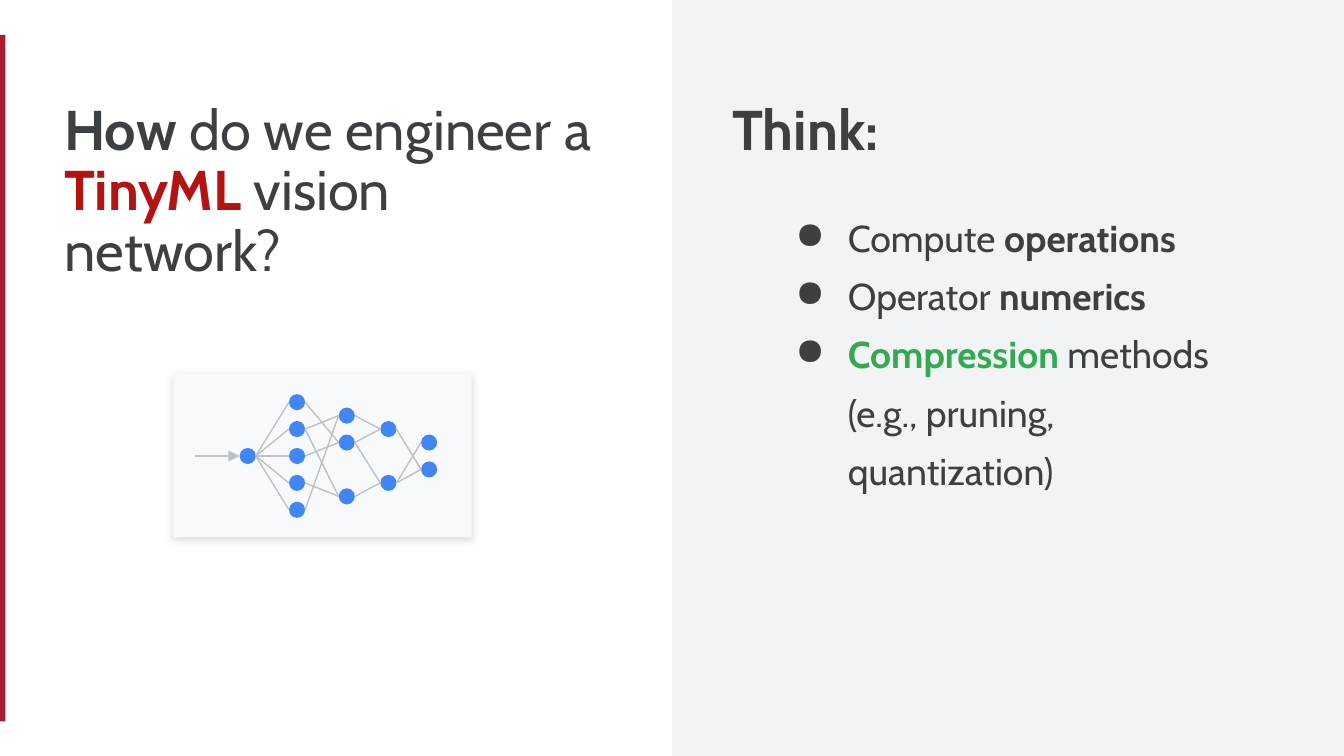
from dataclasses import dataclass

from lxml import etree
from pptx import Presentation
from pptx.dml.color import RGBColor
from pptx.enum.shapes import MSO_CONNECTOR, MSO_SHAPE
from pptx.enum.text import MSO_ANCHOR, PP_ALIGN
from pptx.oxml.ns import qn
from pptx.util import Inches, Length, Pt

RECTANGLE, OVAL = MSO_SHAPE.RECTANGLE, MSO_SHAPE.OVAL
STRAIGHT = MSO_CONNECTOR.STRAIGHT
TOP, LEFT = MSO_ANCHOR.TOP, PP_ALIGN.LEFT

WIDTH = Inches(10)
HEIGHT = Length(WIDTH * 9 // 16)
FONT = "Cabin"
COLORS = {
    "page": "F1F3F4", "panel": "FFFFFF", "stripe": "A51C30", "card": "F8F9FA",
    "node": "4285F4", "edge": "BDC1C6", "text": "3C4043",
    "red": "B31412", "green": "34A853",
}


@dataclass(frozen=True)
class Area:
    """A rectangle in percent of the slide's width and height."""
    left: float
    top: float
    width: float
    height: float

    def lengths(self) -> tuple[Length, ...]:
        return (across(self.left), down(self.top),
                across(self.width), down(self.height))


@dataclass(frozen=True)
class Span:
    text: str
    bold: bool = False
    color: str = "text"


@dataclass(frozen=True)
class Layer:
    """A column of nodes: its centre in percent of the width, and its rows."""
    center: float
    rows: tuple[int, ...]


# Network grid: rows are counted from the top node
FIRST_ROW, ROW_STEP = 53.2, 1.78
NODE_SIZE = Inches(0.12)
LAYERS = [
    Layer(18.43, (4,)),
    Layer(22.1, (0, 2, 4, 6, 8)),
    Layer(25.8, (1, 3, 7)),
    Layer(28.9, (2, 6)),
    Layer(31.93, (3, 5)),
]
# For each gap between layers: (row on the left, row on the right)
EDGES = [
    [(4, row) for row in LAYERS[1].rows],
    [(8, 1), (6, 7), (4, 3), (2, 7), (2, 1), (0, 3)],
    [(7, 6), (3, 6), (3, 2), (1, 2)],
    [(6, 5), (6, 3), (2, 5)],
]
ARROW_START = 14.5

QUESTION = [[Span("How", True), Span(" do we engineer a "),
             Span("TinyML", True, "red"), Span(" vision network?")]]
THINK = [[Span("Think:", True)]]
POINTS = [
    [Span("Compute "), Span("operations", True)],
    [Span("Operator "), Span("numerics", True)],
    [Span("Compression", True, "green"),
     Span(" methods (e.g., pruning, quantization)")],
]


def across(percent: float) -> Length:
    return Length(round(WIDTH * percent / 100))


def down(percent: float) -> Length:
    return Length(round(HEIGHT * percent / 100))


def row_center(row: int) -> Length:
    return down(FIRST_ROW + row * ROW_STEP)


def rgb(name: str) -> RGBColor:
    return RGBColor.from_string(COLORS[name])


def add_block(page, kind, place: tuple[Length, ...], color: str):
    block = page.shapes.add_shape(kind, *place)
    block.shadow.inherit = False
    block.fill.solid()
    block.fill.fore_color.rgb = rgb(color)
    block.line.fill.background()
    return block


def add_soft_shadow(block) -> None:
    effects = block._element.spPr.find(qn("a:effectLst"))
    shadow = etree.SubElement(effects, qn("a:outerShdw"), {
        "blurRad": str(Pt(4.5)), "dist": str(Pt(1.5)), "dir": "5400000",
        "algn": "bl", "rotWithShape": "0"})
    tint = etree.SubElement(shadow, qn("a:srgbClr"), val="000000")
    etree.SubElement(tint, qn("a:alpha"), val="15000")


def add_edge(page, start: tuple, end: tuple, arrow: bool = False) -> None:
    edge = page.shapes.add_connector(STRAIGHT, *start, *end)
    edge.line.color.rgb = rgb("edge")
    edge.line.width = Pt(0.75)
    if arrow:
        etree.SubElement(edge.line._get_or_add_ln(), qn("a:tailEnd"),
                         type="triangle")
    etree.SubElement(edge._element.spPr, qn("a:effectLst"))


def add_bullet(para) -> None:
    properties = para._p.get_or_add_pPr()
    properties.set("marL", str(Inches(0.5)))
    properties.set("indent", str(Inches(-0.39)))
    tint = etree.SubElement(properties, qn("a:buClr"))
    etree.SubElement(tint, qn("a:srgbClr"), val=COLORS["text"])
    etree.SubElement(properties, qn("a:buChar"), char="●")


def add_text(page, area: Area, paragraphs: list[list[Span]], size: int,
             spacing: float, bullets: bool = False) -> None:
    frame = page.shapes.add_textbox(*area.lengths()).text_frame
    inset = Inches(0.1)
    frame_format = {
        "word_wrap": True, "vertical_anchor": TOP, "margin_left": inset,
        "margin_right": inset, "margin_top": inset, "margin_bottom": inset,
    }
    for name, value in frame_format.items():
        setattr(frame, name, value)
    for index, spans in enumerate(paragraphs):
        para = frame.add_paragraph() if index else frame.paragraphs[0]
        para.alignment = LEFT
        para.line_spacing = spacing
        if bullets:
            add_bullet(para)
        for span in spans:
            run = para.add_run()
            run.text = span.text
            font_format = {"name": FONT, "size": Pt(size), "bold": span.bold}
            for name, value in font_format.items():
                setattr(run.font, name, value)
            run.font.color.rgb = rgb(span.color)


def draw_network(page) -> None:
    radius = NODE_SIZE // 2
    for layer in LAYERS:
        for row in layer.rows:
            place = (across(layer.center) - radius, row_center(row) - radius,
                     NODE_SIZE, NODE_SIZE)
            add_block(page, OVAL, place, "node")
    for source, target, pairs in zip(LAYERS, LAYERS[1:], EDGES):
        for begin, finish in pairs:
            add_edge(page,
                     (across(source.center) + radius, row_center(begin)),
                     (across(target.center) - radius, row_center(finish)))
    # Input arrow
    entry = LAYERS[0]
    middle = row_center(entry.rows[0])
    add_edge(page, (across(ARROW_START), middle),
             (across(entry.center) - radius, middle), arrow=True)


def main() -> None:
    deck = Presentation()
    deck.slide_width, deck.slide_height = WIDTH, HEIGHT
    page = deck.slides.add_slide(deck.slide_layouts[6])
    page.background.fill.solid()
    page.background.fill.fore_color.rgb = rgb("page")

    # Left panel and accent stripe
    add_block(page, RECTANGLE, Area(0, 0, 50, 100).lengths(), "panel")
    add_block(page, RECTANGLE, Area(0, 4.62, 0.4, 90.8).lengths(), "stripe")

    # Right column
    add_text(page, Area(53.5, 11.73, 40.6, 18.8), THINK, 30, 0.9)
    add_text(page, Area(57.1, 24.9, 35.4, 44.4), POINTS, 20, 1.3, bullets=True)

    # Network card
    card = add_block(page, RECTANGLE,
                     Area(12.9, 49.4, 22.2, 21.7).lengths(), "card")
    add_soft_shadow(card)
    draw_network(page)

    # Question
    add_text(page, Area(3.8, 11.73, 42.3, 34.1), QUESTION, 30, 0.9)
    deck.save("out.pptx")


if __name__ == "__main__":
    main()
